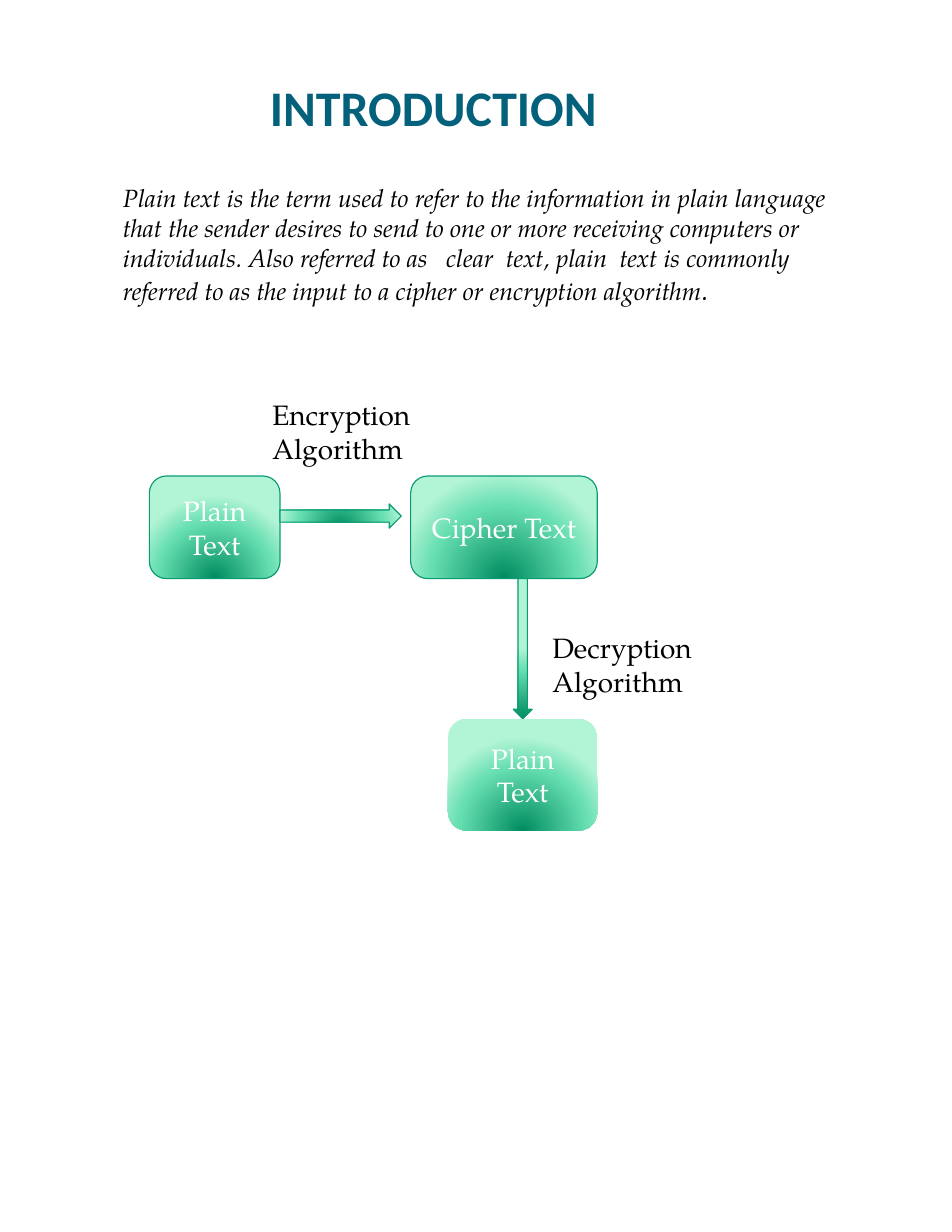
from pptx import Presentation
from pptx import util as u
from pptx.dml.color import RGBColor
from pptx.enum import shapes, text
from pptx.oxml import parse_xml
from pptx.oxml.ns import nsdecls, qn

COLORS = {"title": "04617B", "ink": "000000", "white": "FFFFFF", "outline": "0A9B74",
          "deep": "008C60", "mint": "65DEB0", "pale": "B2F4D6"}
SERIF = "TeX Gyre Pagella"
PLAIN_TEXT = (
    "Plain text is the term used to refer to the information in plain language "
    "that the sender desires to send to one or more receiving computers or individuals. "
    "Also referred to as   clear  text, plain  text is commonly  "
    "referred to as the input to a cipher or encryption algorithm"
)


def add_run(paragraph, content, size=18, font=SERIF, color="ink", bold=False, italic=False):
    run = paragraph.add_run()
    run.text = content
    run.font.size = u.Pt(size)
    run.font.name = font
    run.font.bold = bold
    run.font.italic = italic
    run.font.color.rgb = RGBColor.from_string(COLORS[color])


class DiagramSlide:
    """Draws cipher diagram elements on a grid of twelve cells to the inch."""

    cell = u.Inches(1) / 12
    stops = ((0, "deep"), (68, "mint"), (100, "pale"))

    def __init__(self, presentation):
        self.slide = presentation.slides.add_slide(presentation.slide_layouts[6])

    def place(self, area):
        return [round(cells * self.cell) for cells in area]

    def text_box(self, area, runs, right=1.2, **style):
        shape = self.slide.shapes.add_textbox(*self.place(area))
        shape.text_frame.word_wrap = True
        shape.text_frame.margin_right = round(right * self.cell)
        for content, size in runs:
            add_run(shape.text_frame.paragraphs[0], content, size, **style)
        return shape.text_frame

    def title(self, area, content):
        frame = self.text_box(area, [(content, 32)], right=0,
                              font="Calibri", color="title", bold=True)
        frame.margin_left = frame.margin_bottom = 0
        frame.margin_top = u.Inches(0.01)
        frame.vertical_anchor = text.MSO_ANCHOR.BOTTOM
        paragraph = frame.paragraphs[0]
        paragraph.alignment = text.PP_ALIGN.CENTER
        paragraph.space_before = u.Pt(1)
        paragraph._p.get_or_add_pPr().set("marL", str(u.Inches(0.04)))

    def label(self, column, row, content):
        self.text_box((column, row, 18, 8.4), [(content, 18)], right=0)

    def glow(self, shape):
        shape.fill.gradient()
        gradient = shape._element.spPr.find(qn("a:gradFill"))
        stops = "".join(
            f'<a:gs pos="{position * 1000}"><a:srgbClr val="{COLORS[name]}"/></a:gs>'
            for position, name in self.stops)
        radial = parse_xml(
            f'<a:gradFill {nsdecls("a")} rotWithShape="1"><a:gsLst>{stops}</a:gsLst>'
            '<a:path path="circle"><a:fillToRect l="50000" t="130000" r="50000" b="-30000"/>'
            '</a:path></a:gradFill>')
        gradient.getparent().replace(gradient, radial)

    def solid(self, kind, area, outlined=True):
        shape = self.slide.shapes.add_shape(kind, *self.place(area))
        shape.shadow.inherit = False
        self.glow(shape)
        if outlined:
            shape.line.color.rgb = RGBColor.from_string(COLORS["outline"])
            shape.line.width = u.Pt(0.75)
        else:
            shape.line.fill.background()
        return shape

    def node(self, area, lines, outlined=True):
        shape = self.solid(shapes.MSO_SHAPE.ROUNDED_RECTANGLE, area, outlined)
        frame = shape.text_frame
        frame.word_wrap = True
        frame.vertical_anchor = text.MSO_ANCHOR.MIDDLE
        for index, line in enumerate(lines):
            paragraph = frame.add_paragraph() if index else frame.paragraphs[0]
            paragraph.alignment = text.PP_ALIGN.CENTER
            add_run(paragraph, line, color="white")


def main():
    presentation = Presentation()
    presentation.slide_width, presentation.slide_height = u.Inches(8.5), u.Inches(11)
    diagram = DiagramSlide(presentation)
    diagram.title((25, 8, 42.4, 6.6), "INTRODUCTION")
    diagram.text_box((12, 19, 79, 17.8), [(PLAIN_TEXT, 16), (".", 18)], italic=True)
    diagram.node((16, 51, 14, 11), ["Plain", "Text"])
    diagram.solid(shapes.MSO_SHAPE.RIGHT_ARROW, (30, 54, 13, 2.6))
    diagram.node((44, 51, 20, 11), ["Cipher Text"])
    diagram.solid(shapes.MSO_SHAPE.DOWN_ARROW, (55, 62, 2, 15))
    diagram.node((48, 77, 16, 12), ["Plain Text"], outlined=False)
    diagram.label(28, 42, "Encryption Algorithm")
    diagram.label(58, 67, "Decryption Algorithm")
    presentation.save("out.pptx")


if __name__ == "__main__":
    main()
